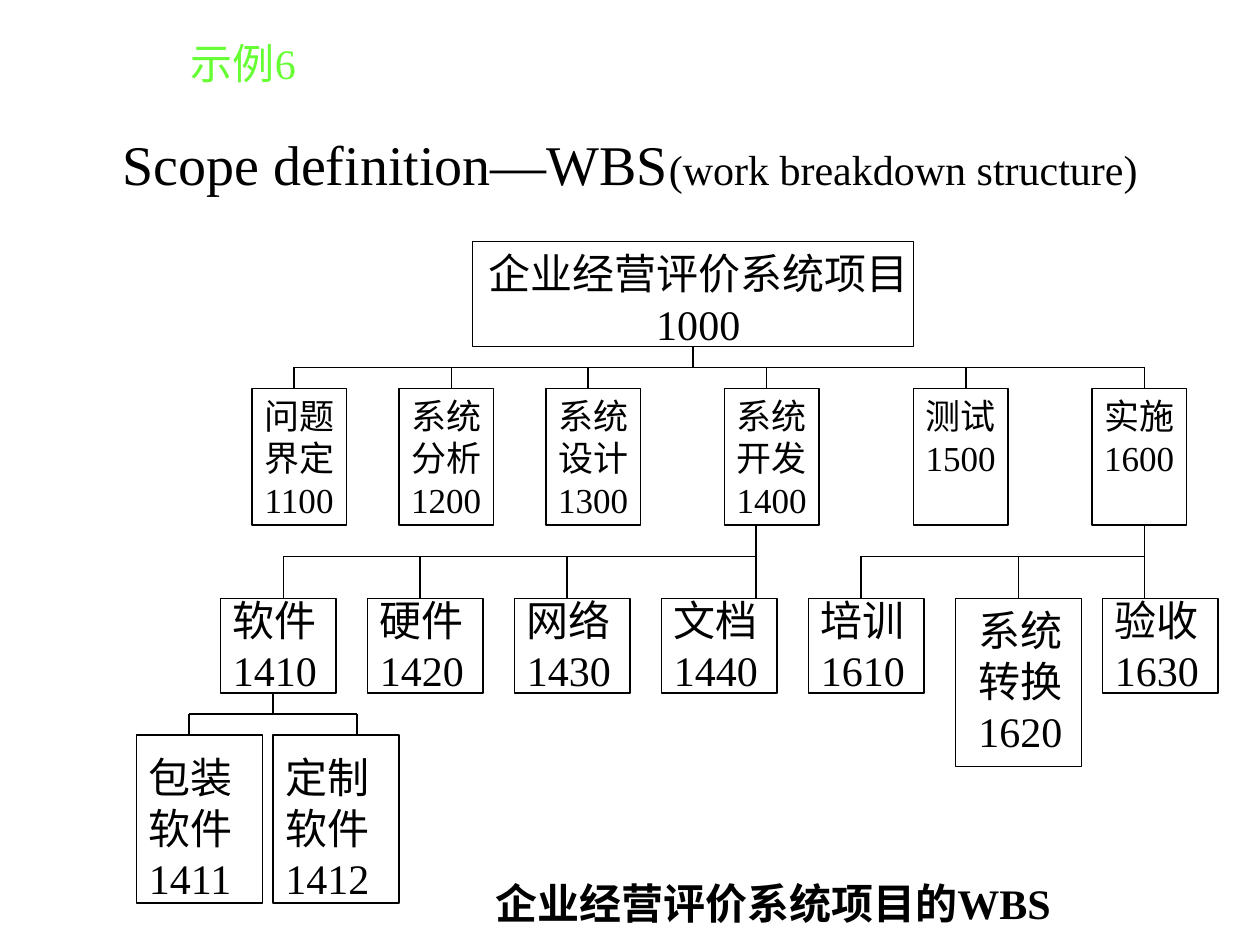
from dataclasses import dataclass

from lxml import etree
from pptx import Presentation
from pptx import util as u
from pptx.dml.color import RGBColor
from pptx.enum import shapes, text
from pptx.oxml import ns

COLORS = {"ink": "000000", "accent": "66FF33"}
FONT = "Times New Roman"
COLUMNS, ROWS = 120, 90
CENTER, LEFT = text.PP_ALIGN.CENTER, text.PP_ALIGN.LEFT

presentation = Presentation()
presentation.slide_width = u.Inches(10)
presentation.slide_height = u.Inches(7.5)
slide = presentation.slides.add_slide(presentation.slide_layouts[6])


@dataclass
class Area:
    column: float
    row: float
    columns: float
    rows: float


@dataclass
class Run:
    words: str
    size: float = 24
    color: str = "ink"
    bold: bool = False


@dataclass
class Task:
    label: Run
    box: Area
    label_area: Area
    align: text.PP_ALIGN = LEFT


@dataclass
class Branch:
    stem: int
    parent_row: int
    bus_row: int
    child_row: int
    stem_end: int
    drops: list[int]


def across(column: float) -> int:
    return round(presentation.slide_width * column / COLUMNS)


def down(row: float) -> int:
    return round(presentation.slide_height * row / ROWS)


def place(area: Area) -> tuple[int, int, int, int]:
    return across(area.column), down(area.row), across(area.columns), down(area.rows)


def add_text(area: Area, runs: list[Run], align: text.PP_ALIGN = LEFT,
             anchor: text.MSO_ANCHOR = text.MSO_ANCHOR.TOP, grow: bool = True) -> None:
    frame = slide.shapes.add_textbox(*place(area)).text_frame
    frame.word_wrap = True
    frame.vertical_anchor = anchor
    if grow:
        frame.auto_size = text.MSO_AUTO_SIZE.SHAPE_TO_FIT_TEXT
    paragraph = frame.paragraphs[0]
    paragraph.alignment = align
    for item in runs:
        run = paragraph.add_run()
        run.text = item.words
        run.font.name = FONT
        run.font.size = u.Pt(item.size)
        run.font.bold = item.bold
        run.font.color.rgb = RGBColor.from_string(COLORS[item.color])


def set_line(shape) -> None:
    shape.line.color.rgb = RGBColor.from_string(COLORS["ink"])
    shape.line.width = u.Pt(0.75)


def add_task(task: Task) -> None:
    shape = slide.shapes.add_shape(shapes.MSO_SHAPE.RECTANGLE, *place(task.box))
    shape.shadow.inherit = False
    shape.fill.background()
    set_line(shape)
    add_text(task.label_area, [task.label], task.align)


def add_line(column: float, row: float, end_column: float, end_row: float) -> None:
    connector = slide.shapes.add_connector(
        shapes.MSO_CONNECTOR.STRAIGHT,
        across(column), down(row), across(end_column), down(end_row))
    set_line(connector)
    etree.SubElement(connector._element.spPr, ns.qn("a:effectLst"))


def add_branch(branch: Branch) -> None:
    ends = [*branch.drops, branch.stem]
    add_line(min(ends), branch.bus_row, max(ends), branch.bus_row)
    add_line(branch.stem, branch.parent_row, branch.stem, branch.stem_end)
    for column in branch.drops:
        add_line(column, branch.bus_row, column, branch.child_row)


def phase(words: str, column: int, label_rows: float = 13.2) -> Task:
    return Task(Run(words, 20), Area(column, 37, 9, 13),
                Area(column - 1, 37, 11, label_rows), CENTER)


def work(words: str, column: int) -> Task:
    return Task(Run(words), Area(column, 57, 11, 9), Area(column, 56, 13, 10.8))


def package(words: str, column: int, label_columns: int) -> Task:
    return Task(Run(words), Area(column, 70, 12, 16),
                Area(column, 71, label_columns, 15.6))


TASKS = [
    Task(Run("企业经营评价系统项目1000"), Area(45, 23, 42, 10), Area(45, 23, 43, 10.8), CENTER),
    phase("问题界定1100", 24),
    phase("系统分析1200", 38),
    phase("系统设计1300", 52),
    phase("系统开发1400", 69),
    phase("测试1500", 87, 9.2),
    phase("实施1600", 104, 9.2),
    *(work(words, 21 + 14 * index) for index, words in enumerate(
        ["软件1410", "硬件1420", "网络1430", "文档1440", "培训1610"])),
    Task(Run("系统转换1620"), Area(91, 57, 12, 16), Area(92, 57, 13, 15.6)),
    work("验收1630", 105),
    package("包装软件1411", 13, 13),
    package("定制软件1412", 26, 12),
]

BRANCHES = [
    Branch(66, 33, 35, 37, 35, [28, 43, 56, 73, 92, 109]),
    Branch(72, 50, 53, 57, 57, [27, 40, 54]),
    Branch(109, 50, 53, 57, 57, [82, 97]),
    Branch(26, 66, 68, 70, 68, [18, 34]),
]


def main() -> None:
    add_text(Area(9, 8, 102, 15),
             [Run("Scope definition—WBS", 32), Run("(work breakdown structure)")],
             CENTER, text.MSO_ANCHOR.MIDDLE, grow=False)
    for task in TASKS:
        add_task(task)
    for branch in BRANCHES:
        add_branch(branch)
    add_text(Area(17, 3, 13, 10.8), [Run("示例6", color="accent")])
    add_text(Area(46, 83, 57, 6), [Run("企业经营评价系统项目的WBS", bold=True)])
    presentation.save("out.pptx")


if __name__ == "__main__":
    main()
